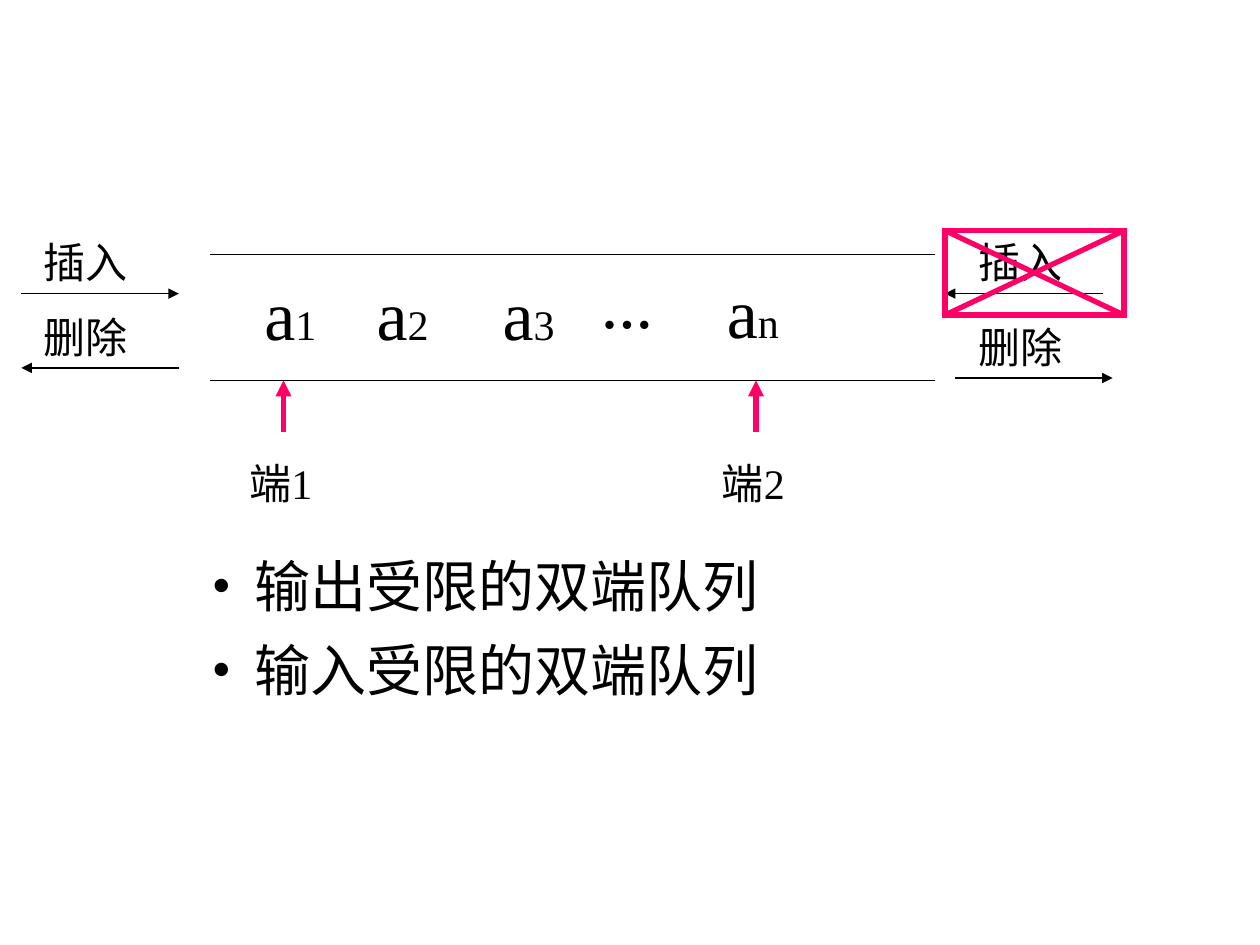
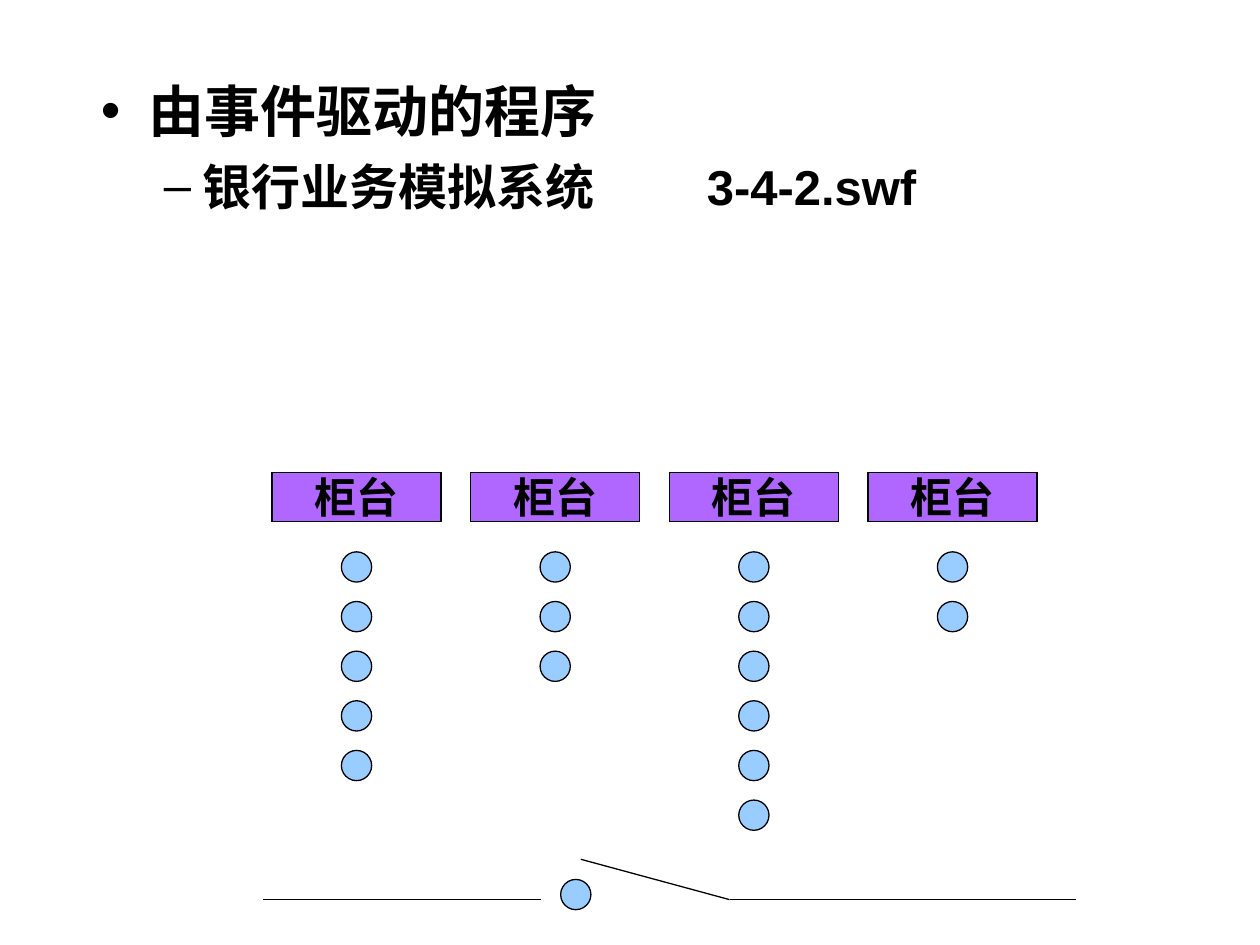
from lxml import etree
from pptx import Presentation, util as u
from pptx.dml.color import RGBColor
from pptx.enum import shapes, text
from pptx.oxml.ns import qn

BLACK, PINK, PURPLE, SKY = "000000", "FF0066", "AF67FF", "99CCFF"
SERIF, SANS = "Times New Roman", "Arial"
TITLE_AND_CONTENT = 1
FIT = text.MSO_AUTO_SIZE


def color(value):
    return RGBColor.from_string(value)


def box(*lengths):
    return [u.Inches(n) for n in lengths]


def apply(target, values):
    for name, value in values.items():
        setattr(target, name, value)


def add_xml(parent, tag, **attributes):
    return etree.SubElement(parent, qn(tag), attributes)


class Deck:
    def __init__(self):
        self.prs = Presentation()
        apply(self.prs, {"slide_width": u.Inches(10), "slide_height": u.Inches(7.5)})
        self.s = None

    def slide(self):
        layout = self.prs.slide_layouts[TITLE_AND_CONTENT]
        self.s = self.prs.slides.add_slide(layout)
        title = self.s.shapes.title
        title.element.getparent().remove(title.element)

    def run(self, p, words, size, font=SERIF, bold=False):
        r = p.add_run()
        r.text = words
        apply(r.font, {"size": u.Pt(size), "name": font, "bold": bold})
        r.font.color.rgb = color(BLACK)

    def label(self, x, y, w, h, *runs):
        tf = self.s.shapes.add_textbox(*box(x, y, w, h)).text_frame
        apply(tf, {"word_wrap": True, "auto_size": FIT.NONE, "margin_right": 0})
        for words, size in runs:
            self.run(tf.paragraphs[0], words, size)

    def line(self, x1, y1, x2, y2, stroke=BLACK, width=0.75, arrow=False):
        sp = self.s.shapes.add_connector(
            shapes.MSO_CONNECTOR.STRAIGHT, *box(x1, y1, x2, y2))
        sp.line.color.rgb = color(stroke)
        sp.line.width = u.Pt(width)
        if arrow:
            add_xml(sp.line._get_or_add_ln(), "a:tailEnd", type="triangle")
        add_xml(sp.element.spPr, "a:effectLst")

    def shape(self, kind, x, y, w, h, fill=None, stroke=BLACK, width=0.75, words=None):
        sp = self.s.shapes.add_shape(kind, *box(x, y, w, h))
        sp.shadow.inherit = False
        if fill:
            sp.fill.solid()
            sp.fill.fore_color.rgb = color(fill)
        else:
            sp.fill.background()
        sp.line.color.rgb = color(stroke)
        sp.line.width = u.Pt(width)
        add_xml(sp.line._get_or_add_ln(), "a:miter", lim="800000")
        if words:
            tf = sp.text_frame
            apply(tf, {"word_wrap": False, "vertical_anchor": text.MSO_ANCHOR.MIDDLE})
            tf.paragraphs[0].alignment = text.PP_ALIGN.CENTER
            self.run(tf.paragraphs[0], words, 24, bold=True)

    def bullets(self, x, y, w, h, items, font, bold=False):
        sp = self.s.placeholders[1]
        apply(sp, dict(zip(("left", "top", "width", "height"), box(x, y, w, h))))
        tf = sp.text_frame
        apply(tf, {"auto_size": FIT.NONE, "word_wrap": True})
        for i, (words, level, size, mark, margin, hanging, before, tab) in enumerate(items):
            p = tf.add_paragraph() if i else tf.paragraphs[0]
            apply(p, {"level": level, "space_before": u.Pt(before)})
            pPr = p._p.get_or_add_pPr()
            pPr.set("marL", str(u.Inches(margin)))
            pPr.set("indent", str(-u.Inches(hanging)))
            add_xml(add_xml(pPr, "a:buClr"), "a:srgbClr", val=BLACK)
            add_xml(pPr, "a:buFont", typeface=font)
            add_xml(pPr, "a:buChar", char=mark)
            if tab:
                tabs = add_xml(pPr, "a:tabLst")
                add_xml(tabs, "a:tab", pos=str(u.Inches(tab)), algn="l")
            self.run(p, words, size, font, bold)


def deque_slide(d):
    d.slide()
    for y in (2.02, 3.02):
        d.line(1.67, y, 7.42, y)
    for x, y, index in ((2, 2.1, "1"), (2.89, 2.1, "2"), (3.89, 2.1, "3"), (5.67, 2.08, "n")):
        d.label(x, y, 0.61, 0.77, ("a", 40), (index, 24))
    d.label(4.67, 2, 0.61, 0.77, ("...", 40))

    operations = (
        ("插入", 0.25, 1.83, 0.17, 1.42, 2.33),
        ("删除", 0.25, 2.42, 1.42, 0.17, 2.92),
        ("插入", 7.67, 1.83, 8.75, 7.5, 2.33),
        ("删除", 7.67, 2.5, 7.58, 8.83, 3),
    )
    for words, x, y, start, end, arrow_y in operations:
        d.line(start, arrow_y, end, arrow_y, arrow=True)
        d.label(x, y, 0.86, 0.5, (words, 24))

    for x, words in ((2.25, "端1"), (6, "端2")):
        d.line(x, 3.43, x, 3.02, PINK, 3, arrow=True)
        d.label(x - 0.37, 3.58, 0.78, 0.5, (words, 24))

    d.bullets(1.58, 4.33, 5.5, 1.31, (
        ("输出受限的双端队列", 0, 32, "•", 0.34, 0.34, 0, None),
        ("输入受限的双端队列", 0, 32, "•", 0.34, 0.34, 9.5, None),
    ), SERIF)

    left, top, right, bottom = 7.5, 1.83, 8.92, 2.5
    d.shape(shapes.MSO_SHAPE.RECTANGLE, left, top, right - left, bottom - top,
            stroke=PINK, width=3)
    d.line(left, top, right, bottom, PINK, 3)
    d.line(left, bottom, right, top, PINK, 3)


def bank_slide(d):
    d.slide()
    d.bullets(0.7, 0.56, 9.3, 1.92, (
        ("由事件驱动的程序", 0, 32, "•", 0.38, 0.38, 0, None),
        ("银行业务模拟系统\t3-4-2.swf", 1, 28, "–", 0.81, 0.31, 7, 4.81),
    ), SANS, bold=True)

    counter_w, customer = 1.34, 0.24
    counter_step, customer_step = 4.73 / 3, 1.97 / 5
    for column, waiting in enumerate((5, 3, 6, 2)):
        x = 2.16 + column * counter_step
        d.shape(shapes.MSO_SHAPE.RECTANGLE, x, 3.75, counter_w, 0.39, PURPLE, words="柜台")
        for place in range(waiting):
            d.shape(shapes.MSO_SHAPE.OVAL, x + (counter_w - customer) / 2,
                    4.38 + place * customer_step, customer, customer, SKY)

    floor = 7.14
    d.line(4.29, floor, 2.09, floor)
    d.line(5.79, floor, 8.54, floor)
    d.line(5.79, floor, 4.61, 6.82)
    d.shape(shapes.MSO_SHAPE.OVAL, 4.45, 6.98, customer, customer, SKY)


def main():
    d = Deck()
    deque_slide(d)
    bank_slide(d)
    d.prs.save("out.pptx")


if __name__ == "__main__":
    main()
